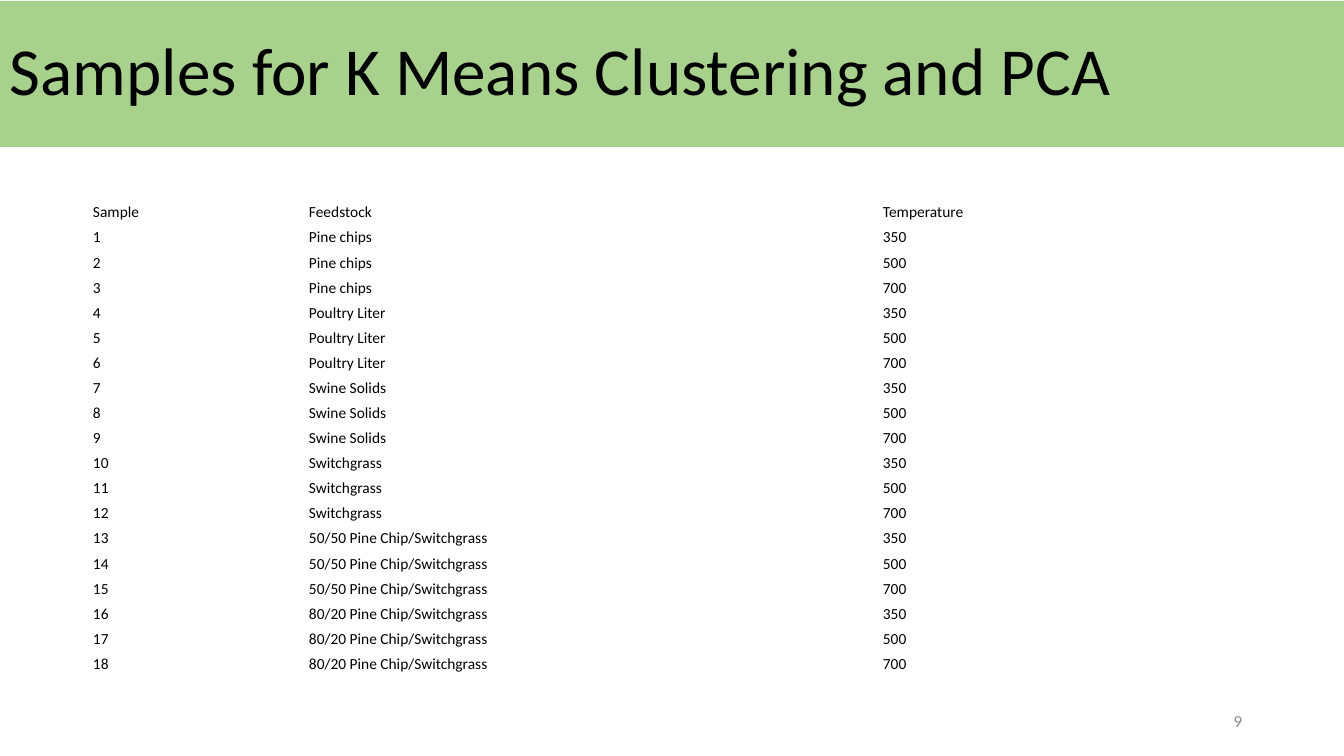
from dataclasses import dataclass
from itertools import product

from pptx import Presentation
from pptx.dml.color import RGBColor
from pptx.enum.shapes import MSO_SHAPE
from pptx.enum.text import MSO_ANCHOR, PP_ALIGN
from pptx.util import Pt


@dataclass(frozen=True)
class Theme:
    face: str = "Calibri"
    band: str = "A9D18E"
    ink: str = "000000"
    grey: str = "8C8C8C"
    head: int = 48
    cell: int = 11
    page: int = 12


theme = Theme()


def px(count):
    """Turn slide pixels (1344 across) into EMU."""
    return round(count * 12192000 / 1344)


def write(frame, text, size, color, align=PP_ALIGN.LEFT):
    para = frame.paragraphs[0]
    para.text = text
    para.alignment = align
    para.font.name = theme.face
    para.font.size = Pt(size)
    para.font.color.rgb = RGBColor.from_string(color)
    return para


deck = Presentation()
deck.slide_width, deck.slide_height = px(1344), px(756)
slide = deck.slides.add_slide(deck.slide_layouts[6])

# Title band
band = slide.shapes.add_shape(MSO_SHAPE.RECTANGLE, px(0), px(1), px(1351), px(146))
band.shadow.inherit = False
band.fill.solid()
band.fill.fore_color.rgb = RGBColor.from_string(theme.band)
band.line.fill.background()
band.text_frame.word_wrap = True
band.text_frame.vertical_anchor = MSO_ANCHOR.MIDDLE
title = write(band.text_frame, "Samples for K Means Clustering and PCA", theme.head, theme.ink)
title.line_spacing = 0.9

# Sample table: every feedstock at every temperature
stocks = ["Pine chips", "Poultry Liter", "Swine Solids", "Switchgrass",
          "50/50 Pine Chip/Switchgrass", "80/20 Pine Chip/Switchgrass"]
temps = ["350", "500", "700"]
rows = [("Sample", "Feedstock", "Temperature")]
for num, (stock, temp) in enumerate(product(stocks, temps), 1):
    rows.append((str(num), stock, temp))

widths = [216, 574, 369]
high = 477
table = slide.shapes.add_table(len(rows), len(widths), px(92), px(202),
                               px(sum(widths)), px(high)).table
table.first_row = False
table.horz_banding = False
for col, width in zip(table.columns, widths):
    col.width = px(width)
for line, row in zip(table.rows, rows):
    line.height = px(high / len(rows))
    for cell, text in zip(line.cells, row):
        cell.fill.background()
        cell.vertical_anchor = MSO_ANCHOR.BOTTOM
        cell.margin_left = cell.margin_right = cell.margin_top = px(1)
        cell.margin_bottom = px(5)
        write(cell.text_frame, text, theme.cell, theme.ink)

# Page number
page = slide.shapes.add_textbox(px(950), px(701), px(302), px(40)).text_frame
page.word_wrap = True
page.vertical_anchor = MSO_ANCHOR.MIDDLE
write(page, "9", theme.page, theme.grey, PP_ALIGN.RIGHT)

deck.save("out.pptx")
